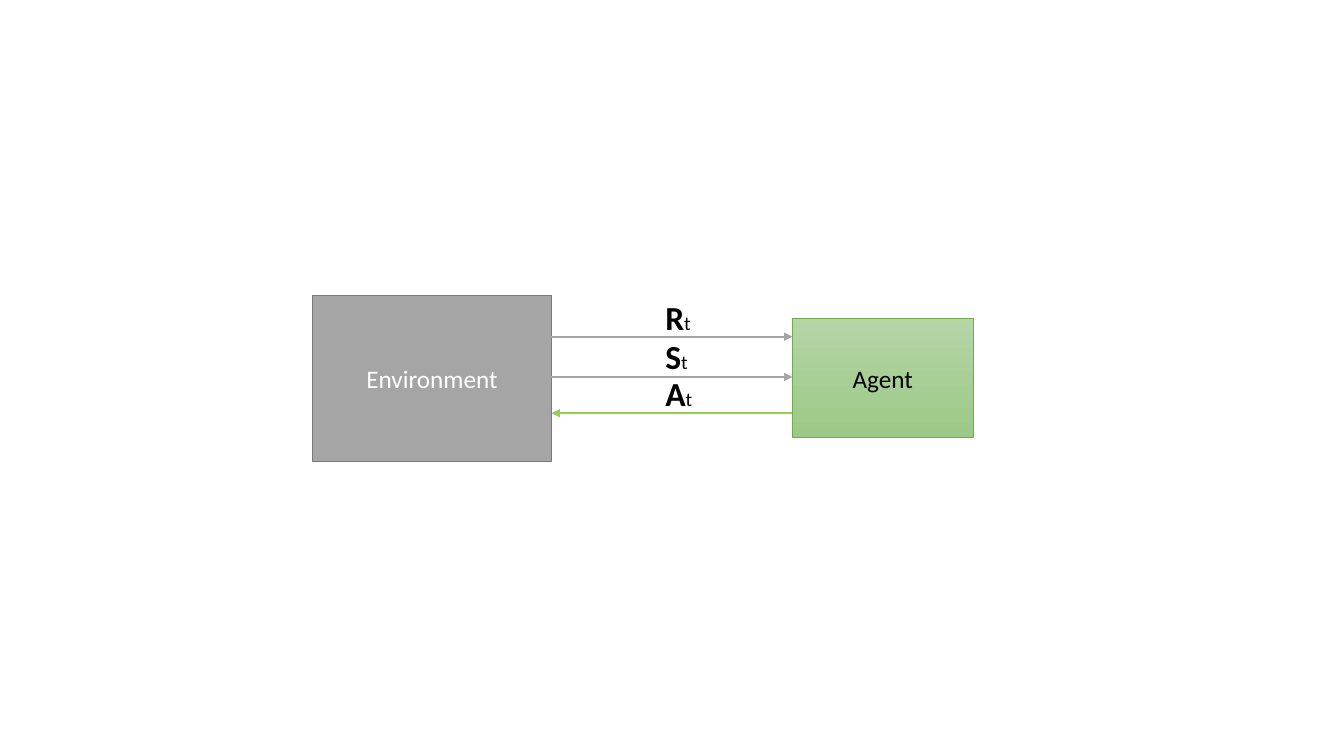
from dataclasses import dataclass

from lxml import etree
from pptx import Presentation
from pptx import util as u
from pptx.dml.color import RGBColor
from pptx.enum import shapes, text
from pptx.oxml.ns import qn


@dataclass(frozen=True)
class Theme:
    font: str = "Calibri"
    gray: str = "A5A5A5"
    gray_edge: str = "7A7A7A"
    green_top: str = "B5D5A7"
    green_bottom: str = "9CC987"
    green_edge: str = "70AD47"
    action: str = "92D050"
    white: str = "FFFFFF"
    black: str = "000000"
    box_size: int = 18
    symbol_size: int = 24
    index_size: int = 14
    arrow_width: float = 1.5


theme = Theme()

# Content: boxes as (name, place, fill colours, edge, edge width, text colour)
boxes = [
    ("Environment", (3.1, 2.93, 2.37, 1.65), [theme.gray],
     theme.gray_edge, 1, theme.white),
    ("Agent", (7.86, 3.16, 1.79, 1.18), [theme.green_top, theme.green_bottom],
     theme.green_edge, 0.5, theme.black),
]
# Signals as (symbol, arrow height, label top, colour, end with arrowhead)
signals = [
    ("R", 3.34, 2.9, theme.gray, "tailEnd"),
    ("S", 3.74, 3.28, theme.gray, "tailEnd"),
    ("A", 4.1, 3.65, theme.action, "headEnd"),
]
index = "t"
label_left, label_width, label_height = 6.5, 1, 0.5

prs = Presentation()
prs.slide_width, prs.slide_height = u.Inches(13.33), u.Inches(7.5)
slide = prs.slides.add_slide(prs.slide_layouts[6])


def inches(*lengths):
    return [u.Inches(length) for length in lengths]


def set_line(line, color, width):
    line.color.rgb = RGBColor.from_string(color)
    line.width = u.Pt(width)


def add_run(paragraph, words, size, color=theme.black, bold=False):
    run = paragraph.add_run()
    run.text = words
    formats = {"name": theme.font, "size": u.Pt(size), "bold": bold}
    for key, value in formats.items():
        setattr(run.font, key, value)
    run.font.color.rgb = RGBColor.from_string(color)


# Environment and agent
for name, place, fills, edge, edge_width, color in boxes:
    box = slide.shapes.add_shape(shapes.MSO_SHAPE.RECTANGLE, *inches(*place))
    box.shadow.inherit = False
    if len(fills) == 1:
        box.fill.solid()
        box.fill.fore_color.rgb = RGBColor.from_string(fills[0])
    else:
        box.fill.gradient()
        box.fill.gradient_angle = 270
        for stop, shade in zip(box.fill.gradient_stops, fills):
            stop.color.rgb = RGBColor.from_string(shade)
    set_line(box.line, edge, edge_width)
    box.text_frame.vertical_anchor = text.MSO_ANCHOR.MIDDLE
    caption = box.text_frame.paragraphs[0]
    caption.alignment = text.PP_ALIGN.CENTER
    add_run(caption, name, theme.box_size, color)

# Signals cross the gap between the two boxes
(env_left, _, env_width, _), (agent_left, *_) = [box[1] for box in boxes]
env_right = env_left + env_width
for symbol, y, label_top, color, arrow_end in signals:
    arrow = slide.shapes.add_connector(
        shapes.MSO_CONNECTOR.STRAIGHT, *inches(env_right, y, agent_left, y))
    set_line(arrow.line, color, theme.arrow_width)
    etree.SubElement(arrow.line._get_or_add_ln(), qn(f"a:{arrow_end}"),
                     type="triangle")
    etree.SubElement(arrow._element.spPr, qn("a:effectLst"))

    label = slide.shapes.add_textbox(
        *inches(label_left, label_top, label_width, label_height))
    label.text_frame.word_wrap = True
    label.text_frame.auto_size = text.MSO_AUTO_SIZE.SHAPE_TO_FIT_TEXT
    notation = label.text_frame.paragraphs[0]
    add_run(notation, symbol, theme.symbol_size, bold=True)
    add_run(notation, index, theme.index_size)

prs.save("out.pptx")
